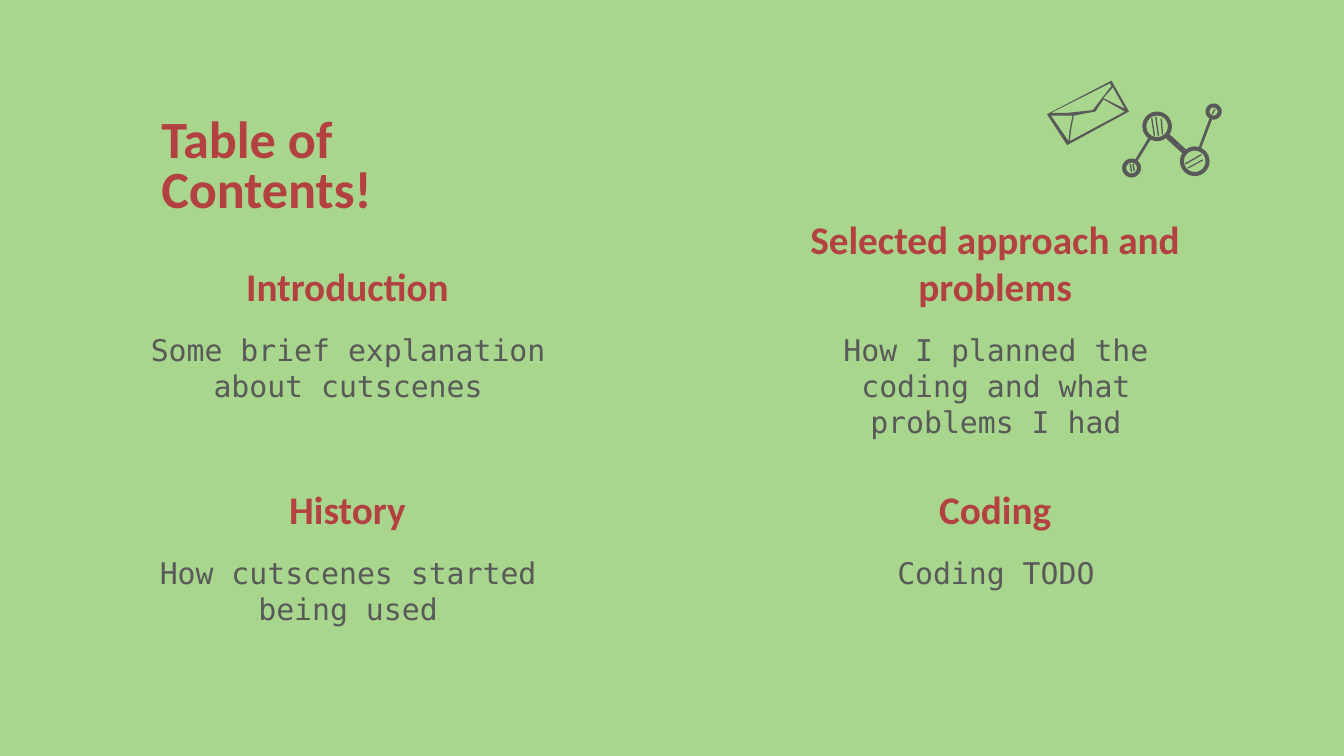
from math import cos, hypot, pi, sin

from lxml.etree import SubElement
from pptx import Presentation
from pptx.dml.color import RGBColor
from pptx.enum.text import MSO_ANCHOR as Anchor, MSO_AUTO_SIZE as AutoSize, PP_ALIGN as Align
from pptx.oxml.ns import qn
from pptx.util import Inches, Pt

GREEN = RGBColor(0xA8, 0xD6, 0x8C)
RED = RGBColor(0xB4, 0x41, 0x41)
GRAY = RGBColor(0x59, 0x59, 0x59)

# Content: topics run down the left column, then down the right
TITLE = "Table of Contents!"
TOPICS = [
    ("Introduction", "Some brief explanation about cutscenes"),
    ("History", "How cutscenes started being used"),
    ("Selected approach and problems", "How I planned the coding and what problems I had"),
    ("Coding", "Coding TODO"),
]

# Text formats
TITLE_FONT = {"name": "Calibri", "size": Pt(28), "bold": True}
HEADING_FONT = {"name": "Calibri", "size": Pt(21), "bold": True}
DETAIL_FONT = {"name": "DejaVu Sans Mono", "size": Pt(16), "bold": False}
FRAME = {"word_wrap": True, "auto_size": AutoSize.NONE, "margin_left": Inches(0.1),
         "margin_right": Inches(0.1), "margin_top": Inches(0.1), "margin_bottom": Inches(0.1)}

# Layout in inches
COLUMN_LEFT, COLUMN_STEP = 0.99, 4.82
ROW_TOP, ROW_STEP = 1.87, 1.66
HEADING_SIZE, DETAIL_SIZE = (3.19, 0.53), (3.14, 0.78)
DETAIL_OFFSET = (0.03, 0.5)

# Envelope: closed outline and the fold lines inside it
ENVELOPE_OUTLINE = [(8.27, 0.6), (8.4, 0.83), (7.94, 1.08), (7.79, 0.85)]
ENVELOPE_PANELS = [
    [(8.26, 0.62), (8.27, 0.64), (8.13, 0.82), (7.94, 0.84), (7.82, 0.84)],
    [(8.28, 0.65), (8.37, 0.81), (8.21, 0.73)],
    [(8.21, 0.74), (8.37, 0.83), (7.96, 1.05), (7.97, 0.96), (7.99, 0.86), (8.15, 0.83)],
    [(7.82, 0.86), (7.98, 0.86), (7.96, 0.96), (7.95, 1.05)],
]

# Molecule: atoms (x, y, outer radius, inner radius), bonds (atom, atom, width)
ATOMS = [(8.42, 1.25, 0.07, 0.04), (8.61, 0.94, 0.11, 0.08),
         (8.89, 1.2, 0.11, 0.08), (9.03, 0.83, 0.06, 0.03)]
BONDS = [(0, 1, 0.02), (1, 2, 0.04), (2, 3, 0.02)]
HATCHES = [
    ((8.57, 0.88), (8.59, 1.01)), ((8.6, 0.87), (8.62, 1.01)), ((8.64, 0.88), (8.65, 1.0)),
    ((8.82, 1.22), (8.94, 1.15)), ((8.84, 1.25), (8.95, 1.19)),
    ((8.41, 1.22), (8.42, 1.28)), ((8.43, 1.22), (8.44, 1.27)),
    ((9.02, 0.85), (9.04, 0.81)),
]


def circle(x, y, radius, steps=32):
    angles = [2 * pi * i / steps for i in range(steps)]
    return [(x + radius * cos(a), y + radius * sin(a)) for a in angles]


def bar(start, end, width, trim_start=0, trim_end=0):
    """Straight stroke of a given width, shortened at either end."""
    (x1, y1), (x2, y2) = start, end
    length = hypot(x2 - x1, y2 - y1)
    ux, uy = (x2 - x1) / length, (y2 - y1) / length
    x1, y1 = x1 + ux * trim_start, y1 + uy * trim_start
    x2, y2 = x2 - ux * trim_end, y2 - uy * trim_end
    dx, dy = -uy * width / 2, ux * width / 2
    return [(x1 + dx, y1 + dy), (x2 + dx, y2 + dy), (x2 - dx, y2 - dy), (x1 - dx, y1 - dy)]


def draw_icon(contours):
    units = [[(x * 1000, y * 1000) for x, y in contour] for contour in contours]
    builder = slide.shapes.build_freeform(*units[0][0], scale=Inches(1) / 1000)
    for number, (first, *others) in enumerate(units):
        if number:
            builder.move_to(*first)
        builder.add_line_segments(others, close=True)
    icon = builder.convert_to_shape()
    icon.shadow.inherit = False
    icon.fill.solid()
    icon.fill.fore_color.rgb = GRAY
    icon.line.fill.background()


def write(box, position, size, text, font, color, align=Align.CENTER,
          anchor=Anchor.TOP, line_spacing=1.0):
    box.left, box.top = map(Inches, position)
    box.width, box.height = map(Inches, size)
    frame = box.text_frame
    for name, value in FRAME.items():
        setattr(frame, name, value)
    frame.vertical_anchor = anchor
    frame.text = text
    paragraph = frame.paragraphs[0]
    paragraph.alignment = align
    paragraph.line_spacing = line_spacing
    paragraph.space_before = Pt(0)
    properties = paragraph._p.get_or_add_pPr()
    properties.set("marL", "0")
    properties.set("indent", "0")
    SubElement(properties, qn("a:buNone"))
    for name, value in font.items():
        setattr(paragraph.font, name, value)
    paragraph.font.color.rgb = color


prs = Presentation()
prs.slide_width = Inches(10)
prs.slide_height = prs.slide_width * 9 // 16
slide = prs.slides.add_slide(prs.slide_layouts.get_by_name("Comparison"))
slide.background.fill.solid()
slide.background.fill.fore_color.rgb = GREEN

# Title
write(slide.shapes.title, (1.1, 0.78), (2.63, 0.63), TITLE, TITLE_FONT, RED,
      align=Align.LEFT, line_spacing=0.8)

# Icons
rings = [circle(x, y, radius) for x, y, *radii in ATOMS for radius in radii]
bonds = [bar(ATOMS[a][:2], ATOMS[b][:2], width, ATOMS[a][2], ATOMS[b][2])
         for a, b, width in BONDS]
hatches = [bar(start, end, 0.01) for start, end in HATCHES]
draw_icon(rings + bonds + hatches)
draw_icon([ENVELOPE_OUTLINE] + ENVELOPE_PANELS)

# Topics
for number, (heading, detail) in enumerate(TOPICS):
    column, row = divmod(number, 2)
    left, top = COLUMN_LEFT + column * COLUMN_STEP, ROW_TOP + row * ROW_STEP
    heading_box = slide.shapes.add_textbox(0, 0, 0, 0)
    write(heading_box, (left, top), HEADING_SIZE, heading, HEADING_FONT, RED,
          anchor=Anchor.BOTTOM)
    write(slide.placeholders[number + 1], (left + DETAIL_OFFSET[0], top + DETAIL_OFFSET[1]),
          DETAIL_SIZE, detail, DETAIL_FONT, GRAY)

prs.save("out.pptx")
